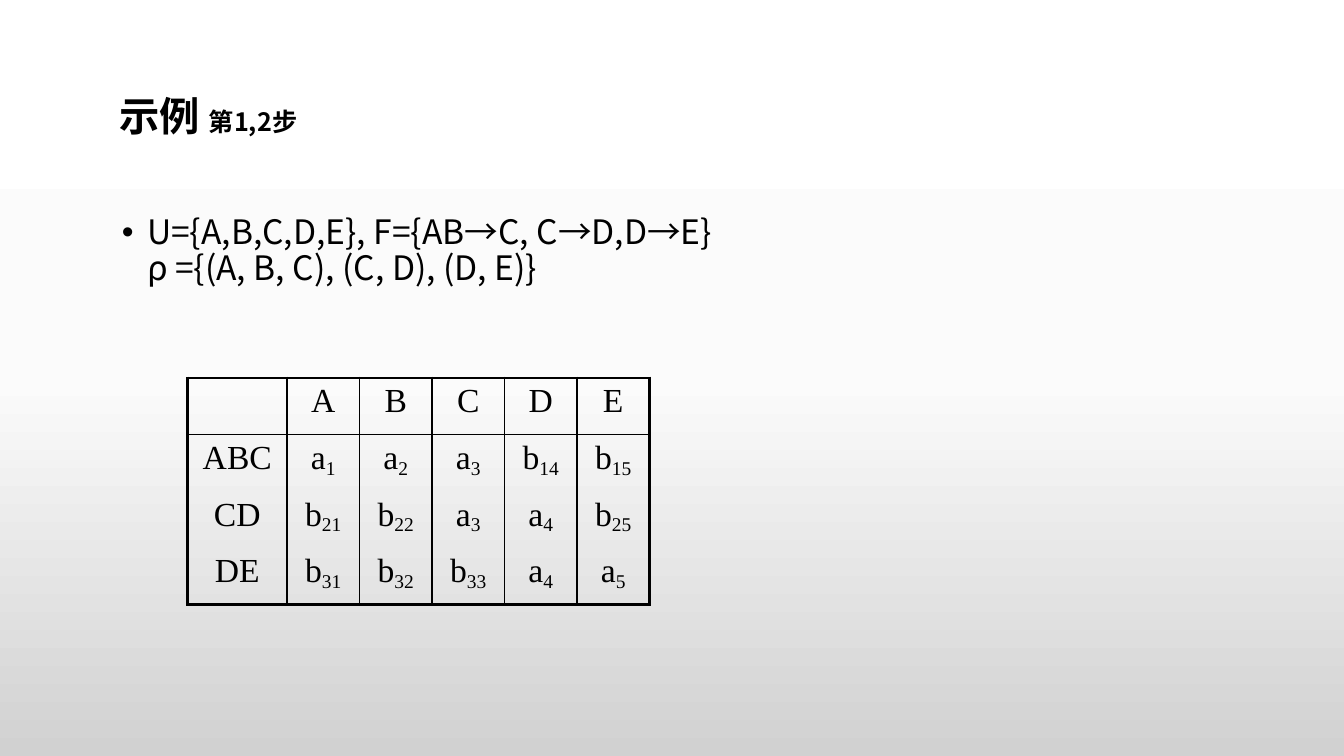
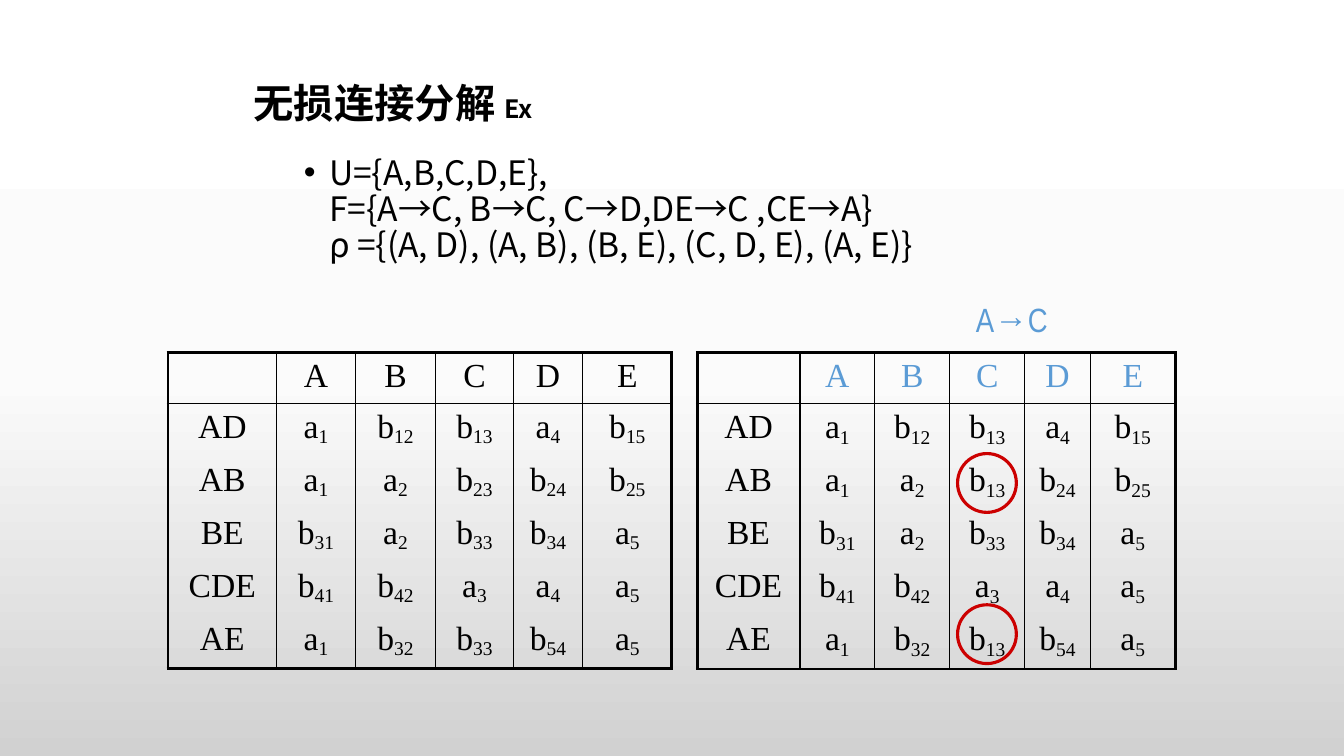
"""Build two slides on testing a lossless join decomposition."""
from copy import deepcopy

from lxml import etree
from pptx import Presentation
from pptx.dml.color import RGBColor
from pptx.enum.shapes import MSO_SHAPE
from pptx.enum.text import MSO_ANCHOR, PP_ALIGN
from pptx.oxml.ns import qn
from pptx.util import Pt

OVAL = MSO_SHAPE.OVAL
MIDDLE = MSO_ANCHOR.MIDDLE
CENTER = PP_ALIGN.CENTER
HEX = {"ink": "000000", "blue": "5B9BD5", "red": "CC0000",
       "top": "FFFFFF", "mid": "FBFBFB", "low": "D1D1D1"}
SANS, SERIF, SLIM = "Noto Sans CJK SC", "Times New Roman", "Arial Narrow"
PLAIN = "{2D5ABB26-0587-4C30-8999-92F81FD0307C}"
THICK, THIN = 2.25, 1

HEAD = ["A", "B", "C", "D", "E"]
FIRST = ["ABC a1 a2 a3 b14 b15", "CD b21 b22 a3 a4 b25", "DE b31 b32 b33 a4 a5"]
START = ["AD a1 b12 b13 a4 b15", "AB a1 a2 b23 b24 b25", "BE b31 a2 b33 b34 a5",
         "CDE b41 b42 a3 a4 a5", "AE a1 b32 b33 b54 a5"]
AFTER = ["AD a1 b12 b13 a4 b15", "AB a1 a2 b13 b24 b25", "BE b31 a2 b33 b34 a5",
         "CDE b41 b42 a3 a4 a5", "AE a1 b32 b13 b54 a5"]


def rgb(name):
    """Return the named colour."""
    return RGBColor.from_string(HEX[name])


def write(para, text, size=24, font=SANS, color="ink", bold=False, base=0):
    """Add one formatted run to a paragraph."""
    run = para.add_run()
    run.text = text
    run.font.size, run.font.bold, run.font.name = Pt(size), bold, font
    run.font.color.rgb = rgb(color)
    props = run.font._element
    etree.SubElement(props, qn("a:ea"), typeface=font)
    if base:
        props.set("baseline", str(base * 1000))


def add_box(slide, x, y, w, h, wrap=True):
    """Add a text box and return its frame."""
    frame = slide.shapes.add_textbox(Pt(x), Pt(y), Pt(w), Pt(h)).text_frame
    frame.word_wrap = wrap
    return frame


def add_title(slide, x, y, main, side):
    """Add a bold title with a smaller tail."""
    frame = add_box(slide, x, y, 612, 37)
    frame.vertical_anchor = MIDDLE
    para = frame.paragraphs[0]
    para.line_spacing = 0.9
    write(para, main, size=28.8, bold=True)
    write(para, side, size=18, bold=True)


def add_body(slide, x, y, h, lines):
    """Add lines of which the first has a bullet."""
    frame = add_box(slide, x, y, 612, h)
    for i, line in enumerate(lines):
        para = frame.add_paragraph() if i else frame.paragraphs[0]
        para.line_spacing = 0.9
        props = para._p.get_or_add_pPr()
        props.set("marL", str(Pt(54)))
        props.set("indent", str(0 if i else -Pt(18)))
        if not i:
            etree.SubElement(props, qn("a:buFont"), typeface="Arial")
            etree.SubElement(props, qn("a:buChar"), char="•")
        write(para, line)


def set_edges(cell, **edges):
    """Set cell borders by side, where zero hides one."""
    props = cell._tc.get_or_add_tcPr()
    for side in "LRTB":
        width = edges[side]
        line = etree.SubElement(props, qn("a:ln" + side), w=str(Pt(width)))
        if width:
            fill = etree.SubElement(line, qn("a:solidFill"))
            etree.SubElement(fill, qn("a:srgbClr"), val=HEX["ink"])
        else:
            etree.SubElement(line, qn("a:noFill"))
    cell.fill.background()


def add_grid(slide, x, y, cols, top, step, rows, color="ink"):
    """Add a tableau with subscripts and a ruled header."""
    data = [[""] + HEAD] + [row.split() for row in rows]
    last, end = len(data) - 1, len(cols) - 1
    frame = slide.shapes.add_table(len(data), len(cols), Pt(x), Pt(y),
                                   Pt(sum(cols)), Pt(top + step * last))
    frame._element.find(".//" + qn("a:tableStyleId")).text = PLAIN
    table = frame.table
    table.first_row = table.horz_banding = False
    for col, width in zip(table.columns, cols):
        col.width = Pt(width)
    for r, row in enumerate(data):
        table.rows[r].height = Pt(step if r else top)
        for c, text in enumerate(row):
            cell = table.cell(r, c)
            para = cell.text_frame.paragraphs[0]
            para.alignment = CENTER
            cut = 1 if text[:1].islower() else len(text)
            if text:
                write(para, text[:cut], font=SERIF, color="ink" if r else color)
            if text[cut:]:
                write(para, text[cut:], font=SERIF, base=-16)
            set_edges(cell, L=THIN if c else THICK,
                      R=THICK if c == end else THIN,
                      T=THICK if r == 0 else THIN if r == 1 else 0,
                      B=THICK if r == last else THIN if r == 0 else 0)


def add_ring(slide, x, y, size=42):
    """Add an open circle that marks a cell."""
    ring = slide.shapes.add_shape(OVAL, Pt(x), Pt(y), Pt(size), Pt(size))
    ring.shadow.inherit = False
    ring.fill.background()
    ring.line.color.rgb = rgb("red")
    ring.line.width = Pt(THICK)


def shade(master):
    """Give the master a vertical three-stop gradient."""
    fill = master.background.fill
    fill.gradient()
    fill.gradient_angle = 270
    stops = master._element.find(".//" + qn("a:gsLst"))
    stops.insert(1, deepcopy(stops[0]))
    for stop, name, place in zip(fill.gradient_stops, ("top", "mid", "low"), (0, 0.5, 1)):
        stop.color.rgb = rgb(name)
        stop.position = place


def main():
    """Build and save the slides."""
    deck = Presentation()
    deck.slide_width, deck.slide_height = Pt(960), Pt(540)
    shade(deck.slide_master)
    blank = deck.slide_layouts[6]

    slide = deck.slides.add_slide(blank)
    add_title(slide, 78, 66, "示例 ", "第1,2步")
    add_body(slide, 44, 150.5, 102, ["U={A,B,C,D,E}, F={AB→C, C→D,D→E}",
                                     "ρ ={(A, B, C), (C, D), (D, E)}"])
    add_grid(slide, 134, 270, [71] + [51.8] * 5, 40.5, 40.5, FIRST)

    slide = deck.slides.add_slide(blank)
    add_title(slide, 174, 57, "无损连接分解 ", "Ex")
    add_body(slide, 174, 108, 108, ["U={A,B,C,D,E},",
                                    "F={A→C, B→C, C→D,DE→C ,CE→A}",
                                    "ρ ={(A, D), (A, B), (B, E), (C, D, E), (A, E)}"])
    add_grid(slide, 120, 252, [77.6, 56.2, 57.6, 55.2, 49.8, 63.6], 34.8, 35.3, START)
    note = add_box(slide, 690, 210, 65.5, 36, wrap=False)
    write(note.paragraphs[0], "A→C", font=SLIM, color="blue")
    add_grid(slide, 498, 252, [73.4, 53.5, 53.5, 53.6, 47, 60.5], 36.4, 37.9, AFTER, color="blue")
    for y in (324, 432):
        add_ring(slide, 684, y)

    deck.save("out.pptx")


if __name__ == "__main__":
    main()
